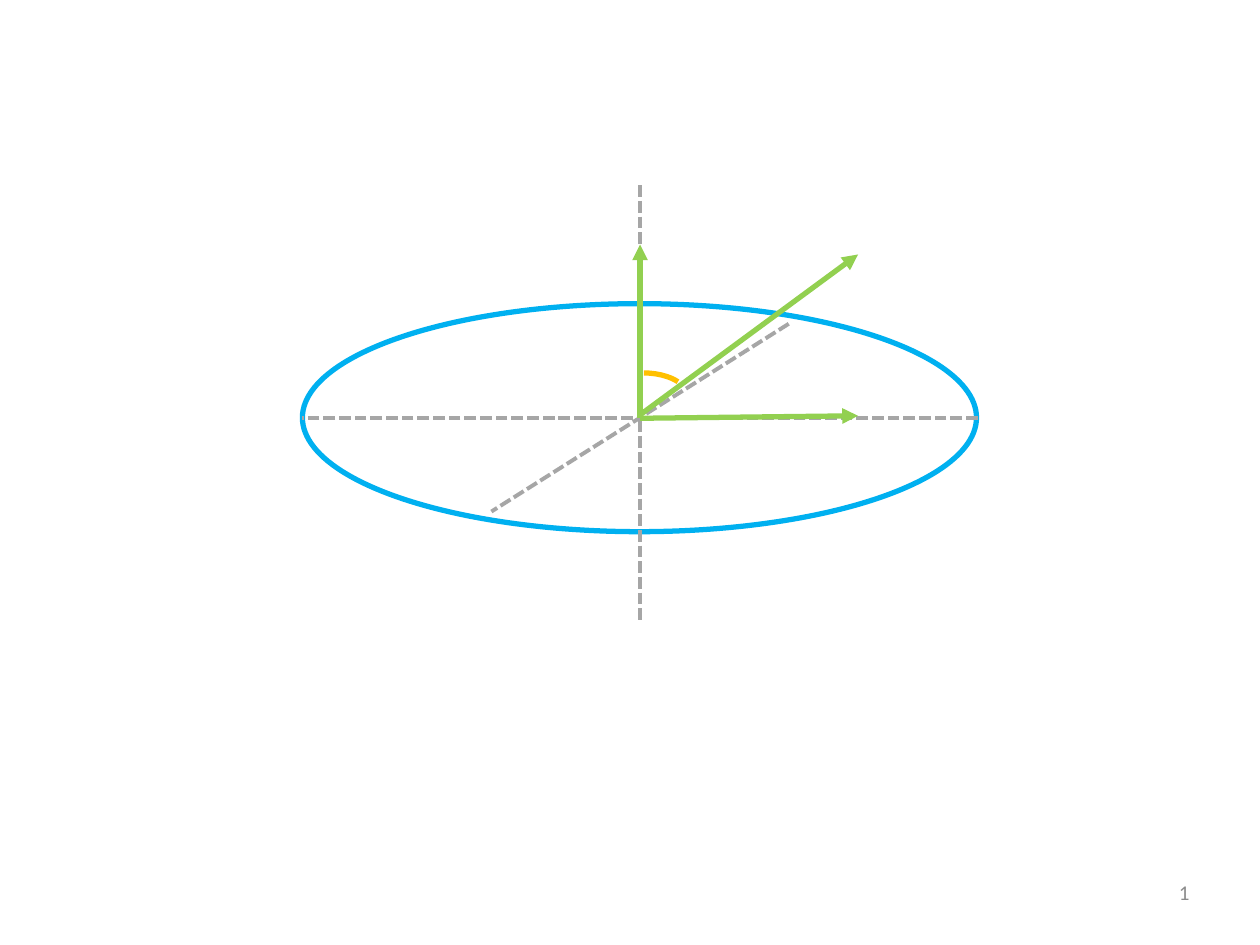
from pptx import Presentation
from pptx.dml.color import RGBColor
from pptx.enum.dml import MSO_LINE
from pptx.enum.shapes import MSO_CONNECTOR, MSO_SHAPE
from pptx.enum.text import MSO_ANCHOR, PP_ALIGN
from pptx.oxml.ns import qn
from pptx.util import Inches, Pt
from lxml.etree import SubElement

BLUE = RGBColor(0x00, 0xB0, 0xF0)
GRAY = RGBColor(0xA6, 0xA6, 0xA6)
GREEN = RGBColor(0x92, 0xD0, 0x50)
AMBER = RGBColor(0xFF, 0xC0, 0x00)
DIM = RGBColor(0x8C, 0x8C, 0x8C)

HUB = (5.08, 3.32)
AXES = [
    ((HUB[0], 1.47), (HUB[0], 4.93)),
    ((7.76, HUB[1]), (2.4, HUB[1])),
    ((6.26, 2.57), (3.9, 4.06)),
]
ARROWS = [
    (HUB, (HUB[0], 1.94)),
    ((5.07, 3.3), (6.81, 2.02)),
    (HUB, (6.81, 3.3)),
]


def assign(item, values):
    for name, value in values.items():
        setattr(item, name, value)


def add_curve(slide, kind, box, color, angles=()):
    """Draw an unfilled ellipse or arc."""
    curve = slide.shapes.add_shape(kind, *map(Inches, box))
    curve.shadow.inherit = False
    curve.fill.background()
    curve.line.color.rgb = color
    curve.line.width = Pt(3)
    for index, angle in enumerate(angles):
        curve.adjustments[index] = angle


def add_line(slide, start, end, color, style, head=False):
    """Draw a straight line, with an arrowhead at its end if asked."""
    line = slide.shapes.add_connector(
        MSO_CONNECTOR.STRAIGHT, *map(Inches, start + end))
    line.line.color.rgb = color
    assign(line.line, style)
    if head:
        SubElement(line.line._get_or_add_ln(), qn("a:tailEnd"), type="triangle")
    SubElement(line._element.spPr, qn("a:effectLst"))


def add_number(slide, text, box):
    """Write the page number."""
    frame = slide.shapes.add_textbox(*map(Inches, box)).text_frame
    assign(frame, {"word_wrap": True, "vertical_anchor": MSO_ANCHOR.MIDDLE})
    para = frame.paragraphs[0]
    assign(para, {"text": text, "alignment": PP_ALIGN.RIGHT})
    font = para.runs[0].font
    assign(font, {"name": "Calibri", "size": Pt(12)})
    font.color.rgb = DIM


def main():
    deck = Presentation()
    assign(deck, {"slide_width": Inches(10), "slide_height": Inches(7.5)})
    slide = deck.slides.add_slide(deck.slide_layouts[6])

    add_number(slide, "1", (7.36, 6.82, 2.18, 0.52))

    # Disc and its dashed axes
    add_curve(slide, MSO_SHAPE.OVAL, (2.4, 2.41, 5.35, 1.81), BLUE)
    dashed = {"width": Pt(2.25), "dash_style": MSO_LINE.SQUARE_DOT}
    for start, end in AXES:
        add_line(slide, start, end, GRAY, dashed)

    # Vectors and the angle between two of them
    for start, end in ARROWS:
        add_line(slide, start, end, GREEN, {"width": Pt(3)}, head=True)
    add_curve(slide, MSO_SHAPE.ARC, (4.75, 2.96, 0.72, 0.41), AMBER,
              (162, 200.07))

    deck.save("out.pptx")


if __name__ == "__main__":
    main()
